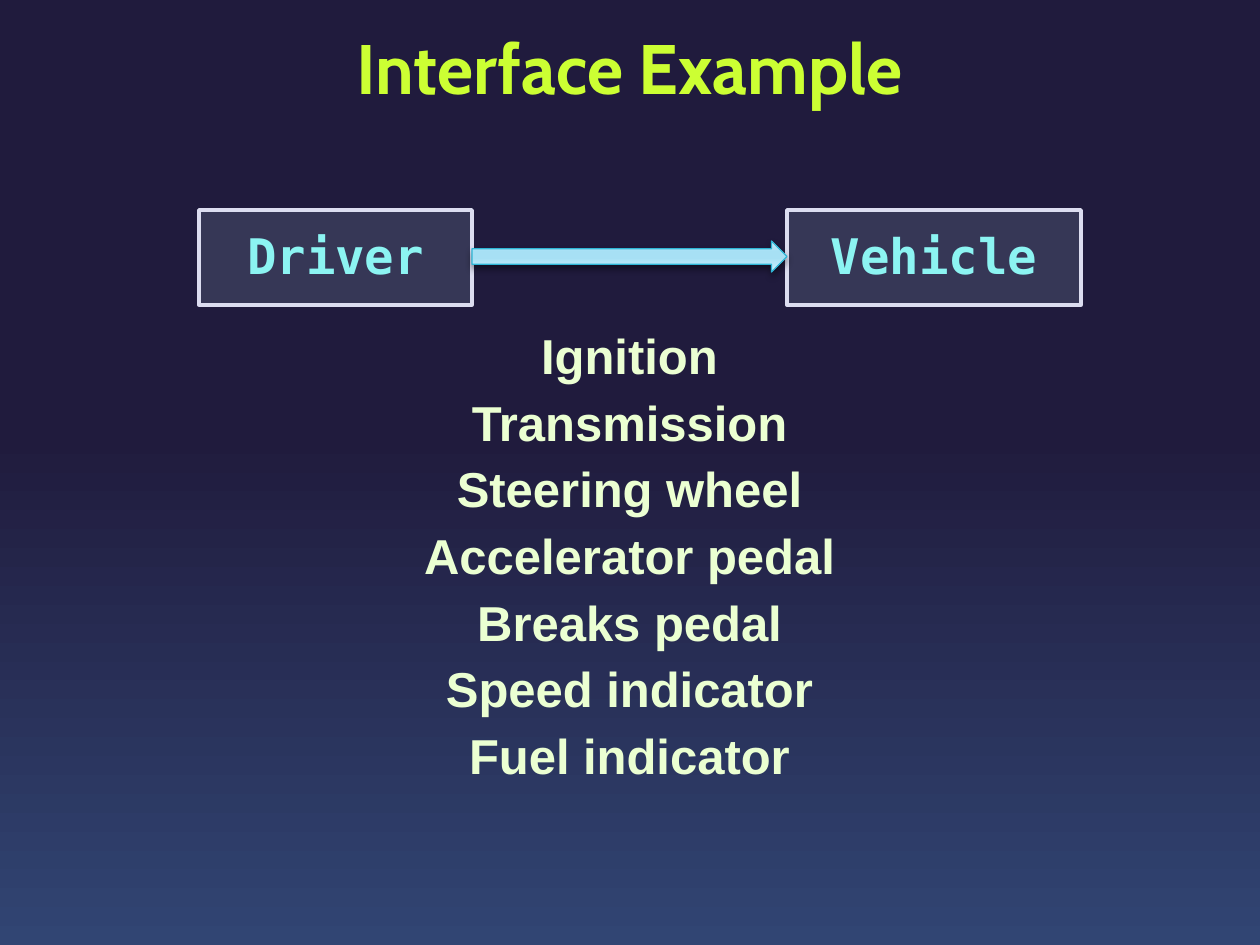
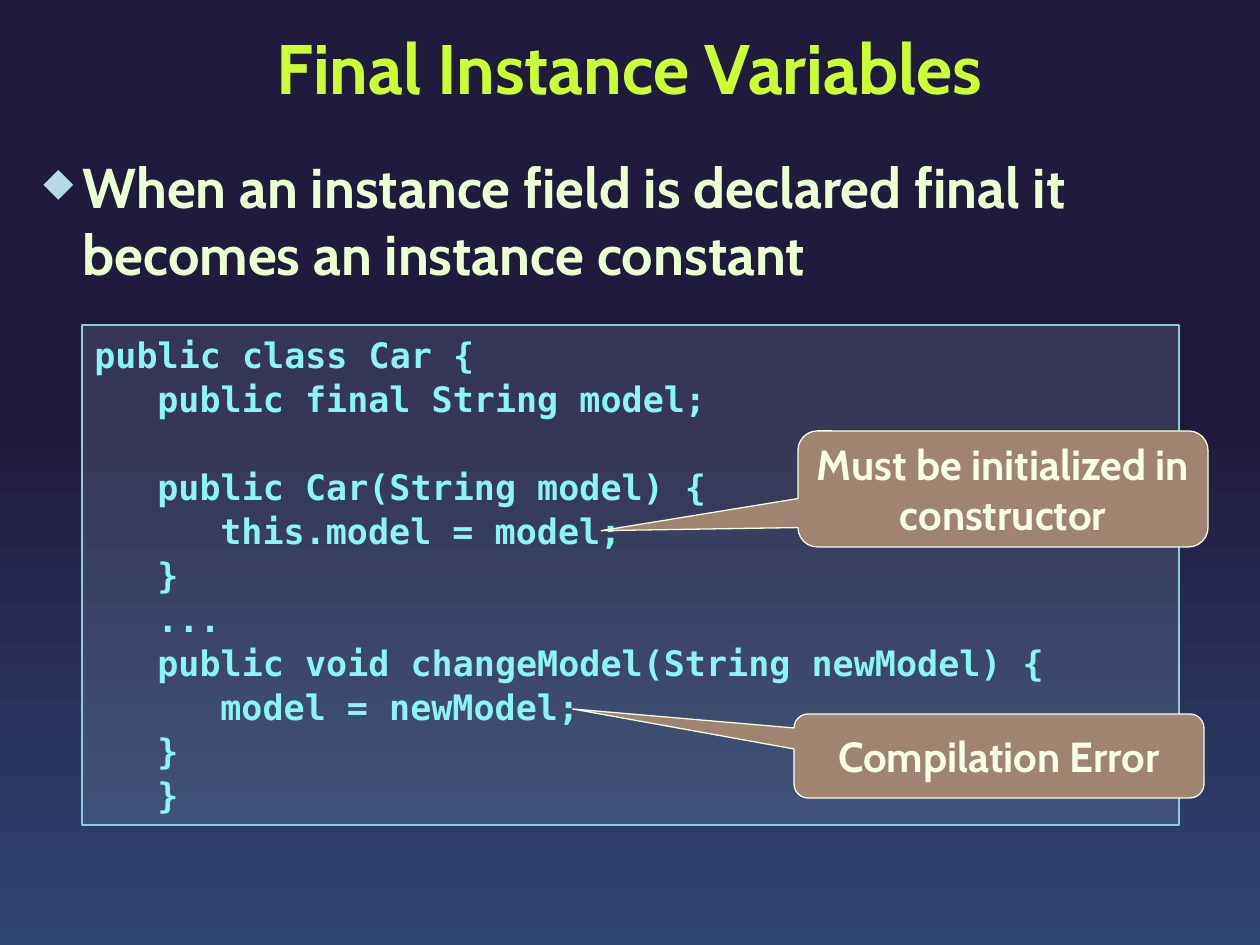
from collections import namedtuple
from copy import deepcopy

from lxml.etree import SubElement
from pptx import Presentation
from pptx.dml.color import RGBColor
from pptx.enum.shapes import MSO_SHAPE as Shape
from pptx.enum.text import MSO_ANCHOR as Anchor, PP_ALIGN as Align
from pptx.oxml.ns import qn
from pptx.util import Emu, Pt

# Scale: 126 px to the inch
EMU_PER_PX = 914400 / 126
SLIDE_WIDTH, SLIDE_HEIGHT = 1260, 945

# Colours
NIGHT = RGBColor(0x20, 0x1B, 0x3D)
DUSK = RGBColor(0x31, 0x45, 0x73)
LIME = RGBColor(0xCC, 0xFF, 0x33)
CREAM = RGBColor(0xEB, 0xFF, 0xD2)
CYAN = RGBColor(0x8C, 0xF4, 0xF2)
ICE = RGBColor(0xB5, 0xDB, 0xE5)
LAVENDER = RGBColor(0xDC, 0xDD, 0xF0)
TEAL = RGBColor(0x90, 0xCA, 0xD7)
ARROW_EDGE = RGBColor(0x2E, 0xB5, 0xD5)
CLAY = RGBColor(0x9F, 0x84, 0x71)
CALLOUT_EDGE = RGBColor(0xF5, 0xFF, 0xE0)
CALLOUT_TEXT = RGBColor(0xF7, 0xFF, 0xE7)

BACKGROUND_STOPS = [(0, DUSK), (0.54, NIGHT)]
ARROW_STOPS = [
    (0, RGBColor(0xDF, 0xF5, 0xFD)),
    (0.14, RGBColor(0xC3, 0xEB, 0xFA)),
    (0.45, RGBColor(0xA7, 0xE0, 0xF4)),
    (0.65, RGBColor(0xA7, 0xE0, 0xF4)),
    (0.86, RGBColor(0xBA, 0xE7, 0xF8)),
    (1, RGBColor(0xE2, 0xF4, 0xFB)),
]

# Text styles
TextStyle = namedtuple("TextStyle", "font size color spacing")
TITLE = TextStyle("Cabin", 40, LIME, Pt(40))
BULLET = TextStyle("Cabin", 32, CREAM, Pt(38))
LIST = TextStyle("Arial", 28, CREAM, Pt(38))
BOX = TextStyle("DejaVu Sans Mono", 28, CYAN, 0.95)
CODE = TextStyle("DejaVu Sans Mono", 20, CYAN, 1.05)
CALLOUT = TextStyle("Cabin", 24, CALLOUT_TEXT, 1.0)

# Content
CONTROLS = ["Ignition", "Transmission", "Steering wheel", "Accelerator pedal",
            "Breaks pedal", "Speed indicator", "Fuel indicator"]

# Code lines as (indent level, text, space before in points)
CAR_CLASS = [
    (0, "public class Car {", 0),
    (1, "public final String model;", 0),
    (1, "public Car(String model) {", 25),
    (2, "this.model = model;", 0),
    (1, "}", 0),
    (1, "...", 0),
    (1, "public void changeModel(String newModel) {", 0),
    (2, "model = newModel;", 0),
    (1, "}", 0),
    (1, "}", 0),
]


def px(length):
    return Emu(round(length * EMU_PER_PX))


class Deck:
    """Holds the presentation, its shared style and the current slide."""

    def __init__(self):
        self.presentation = Presentation()
        self.presentation.slide_width = px(SLIDE_WIDTH)
        self.presentation.slide_height = px(SLIDE_HEIGHT)
        self.slide = None

    def add_slide(self, title):
        blank = self.presentation.slide_layouts[6]
        self.slide = self.presentation.slides.add_slide(blank)
        self.gradient(self.slide.background.fill, self.slide.element, BACKGROUND_STOPS)
        self.text(31, 10, 1197, 126, [title], TITLE, Align.CENTER, Anchor.MIDDLE)

    def gradient(self, fill, element, stops):
        """Fill from bottom to top with any number of stops."""
        fill.gradient()
        fill.gradient_angle = 90
        stop_list = element.find(".//" + qn("a:gsLst"))
        for _ in stops[2:]:
            stop_list.append(deepcopy(stop_list[0]))
        for stop, (position, color) in zip(fill.gradient_stops, stops):
            stop.position = position
            stop.color.rgb = color

    def set_text(self, shape, lines, style, align=Align.CENTER, anchor=Anchor.MIDDLE):
        frame = shape.text_frame
        frame.word_wrap = True
        frame.vertical_anchor = anchor
        frame.text = "\n".join(lines)
        for paragraph in frame.paragraphs:
            paragraph.alignment = align
            paragraph.line_spacing = style.spacing
            for run in paragraph.runs:
                run.font.name = style.font
                run.font.size = Pt(style.size)
                run.font.bold = True
                run.font.color.rgb = style.color
        return frame.paragraphs

    def text(self, left, top, width, height, lines, style, align, anchor=Anchor.TOP):
        box = self.slide.shapes.add_textbox(px(left), px(top), px(width), px(height))
        return self.set_text(box, lines, style, align, anchor)

    def bullet(self, left, top, width, height, text):
        paragraph = self.text(left, top, width, height, [text], BULLET, Align.LEFT)[0]
        properties = paragraph._p.get_or_add_pPr()
        properties.set("marL", str(px(39)))
        properties.set("indent", str(-px(39)))
        color = SubElement(properties, qn("a:buClr"))
        SubElement(color, qn("a:srgbClr"), val=str(ICE))
        SubElement(properties, qn("a:buSzPct"), val="70000")
        SubElement(properties, qn("a:buChar"), char="◆")

    def shape(self, kind, left, top, width, height, line, line_width):
        shape = self.slide.shapes.add_shape(kind, px(left), px(top), px(width), px(height))
        shape.shadow.inherit = False
        shape.line.color.rgb = line
        shape.line.width = Pt(line_width)
        return shape

    def glass(self, left, top, width, height, line, line_width):
        """Rectangle with a 15 % opaque fill."""
        shape = self.shape(Shape.RECTANGLE, left, top, width, height, line, line_width)
        shape.fill.solid()
        shape.fill.fore_color.rgb = ICE
        color = shape.element.spPr.find(qn("a:solidFill"))[0]
        SubElement(color, qn("a:alpha"), val="15000")
        return shape

    def named_box(self, left, top, width, height, name):
        self.set_text(self.glass(left, top, width, height, LAVENDER, 2), [name], BOX)

    def arrow(self, left, top, width, height):
        shape = self.shape(Shape.RIGHT_ARROW, left, top, width, height, ARROW_EDGE, 0.75)
        self.gradient(shape.fill, shape.element, ARROW_STOPS)
        effects = shape.element.spPr.find(qn("a:effectLst"))
        shadow = SubElement(effects, qn("a:outerShdw"), blurRad=str(Pt(4)),
                            dist=str(Pt(2)), dir="5400000", rotWithShape="0")
        color = SubElement(shadow, qn("a:srgbClr"), val="000000")
        SubElement(color, qn("a:alpha"), val="43000")

    def code(self, left, top, width, height, lines):
        panel = self.glass(left, top, width, height, TEAL, 1)
        texts = [text for _, text, _ in lines]
        paragraphs = self.set_text(panel, texts, CODE, Align.LEFT, Anchor.TOP)
        for paragraph, (level, _, space) in zip(paragraphs, lines):
            properties = paragraph._p.get_or_add_pPr()
            properties.set("marL", str(px(63 * level)))
            properties.set("indent", "0")
            paragraph.space_before = Pt(space)

    def callout(self, left, top, width, height, tip, text):
        shape = self.shape(Shape.ROUNDED_RECTANGULAR_CALLOUT, left, top, width, height,
                           CALLOUT_EDGE, 0.75)
        shape.fill.solid()
        shape.fill.fore_color.rgb = CLAY
        shape.adjustments[0], shape.adjustments[1] = tip
        self.set_text(shape, [text], CALLOUT)


def main():
    deck = Deck()

    # Interface example: driver, vehicle and the controls between them
    deck.add_slide("Interface Example")
    deck.text(31, 312, 1197, 478, CONTROLS, LIST, Align.CENTER)
    deck.named_box(787, 210, 294, 95, "Vehicle")
    deck.named_box(199, 210, 273, 95, "Driver")
    deck.arrow(472, 241, 315, 31)

    # Final instance variables: rule, code and remarks
    deck.add_slide("Final Instance Variables")
    deck.bullet(31, 147, 1197, 777,
                "When an instance field is declared final it becomes an instance constant")
    deck.code(82, 325, 1097, 500, CAR_CLASS)
    deck.callout(798, 431, 410, 116, (-0.98, 0.36), "Must be initialized in constructor")
    deck.callout(794, 714, 410, 84, (-1.04, -0.56), "Compilation Error")

    deck.presentation.save("out.pptx")


if __name__ == "__main__":
    main()
